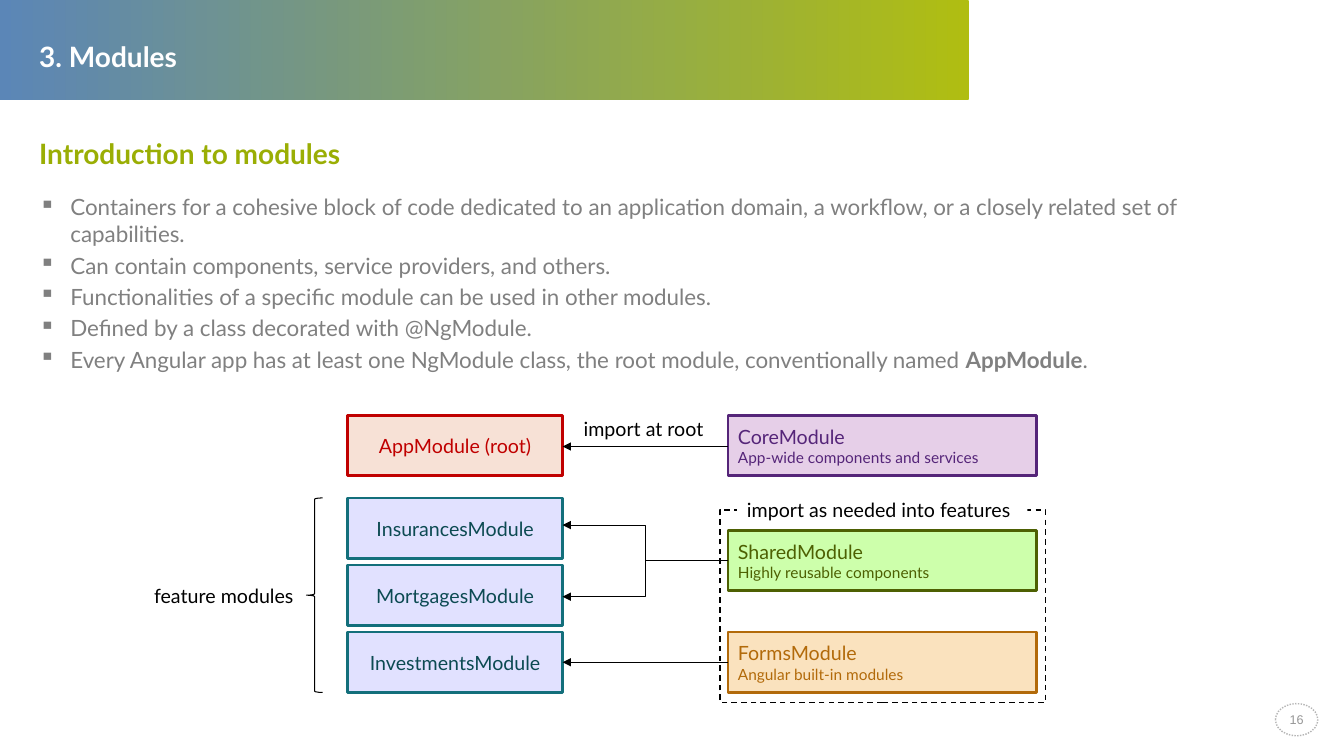
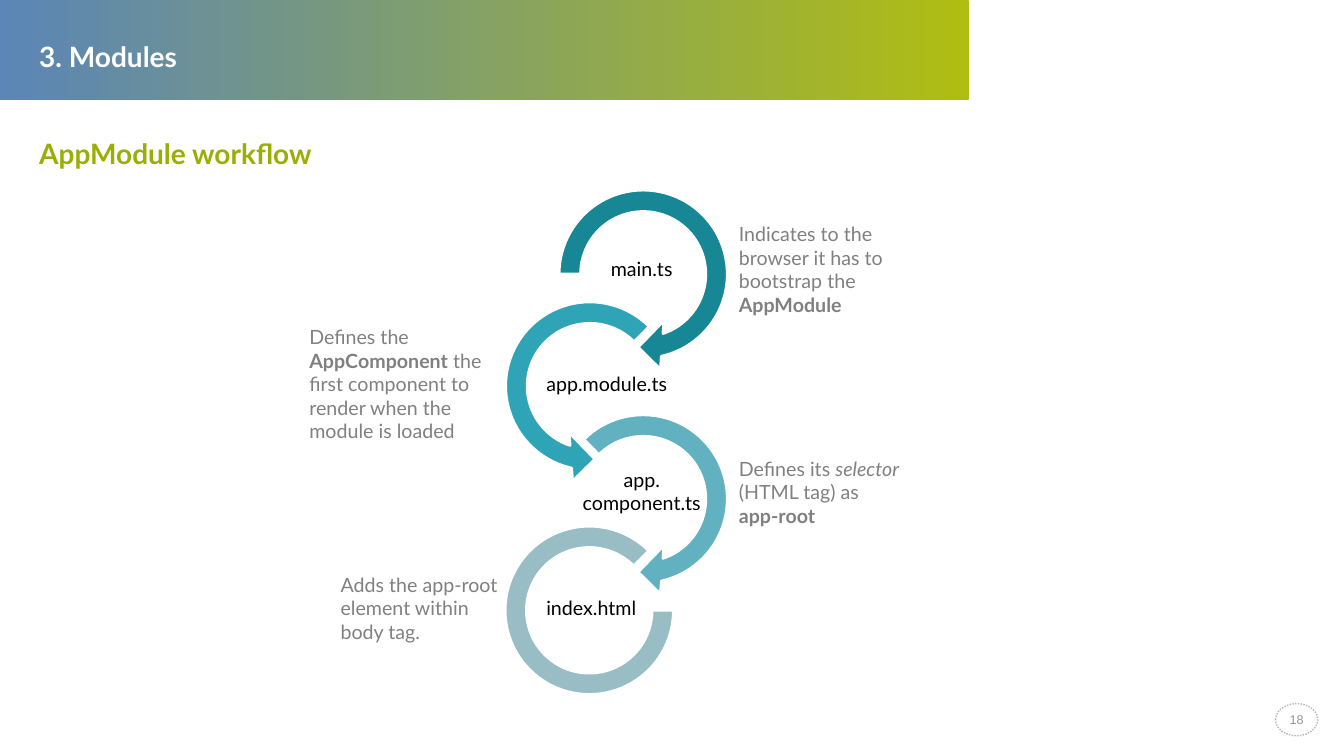
import pptx
import pptx.dml.color
import pptx.enum.dml
import pptx.enum.shapes
import pptx.enum.text
import pptx.oxml
import pptx.oxml.ns
import pptx.util

Inches, Pt = pptx.util.Inches, pptx.util.Pt
RGBColor = pptx.dml.color.RGBColor
SHAPE = pptx.enum.shapes.MSO_SHAPE
CONNECTOR = pptx.enum.shapes.MSO_CONNECTOR
DASH = pptx.enum.dml.MSO_LINE
ALIGN = pptx.enum.text.PP_ALIGN
ANCHOR = pptx.enum.text.MSO_ANCHOR
AUTO_SIZE = pptx.enum.text.MSO_AUTO_SIZE

# Colours
BLACK = RGBColor(0x00, 0x00, 0x00)
WHITE = RGBColor(0xFF, 0xFF, 0xFF)
GREY = RGBColor(0x80, 0x80, 0x80)
BADGE_LINE = RGBColor(0xB5, 0xB5, 0xB5)
BADGE_TEXT = RGBColor(0x96, 0x96, 0x96)
LIME = RGBColor(0xAA, 0xB9, 0x00)
BLUE = RGBColor(0x4F, 0x7D, 0xB2)
HEADING = RGBColor(0x9A, 0xAE, 0x04)
RED = RGBColor(0xC0, 0x00, 0x00)
PALE_RED = RGBColor(0xF7, 0xE1, 0xD6)
PURPLE = RGBColor(0x55, 0x25, 0x79)
PALE_PURPLE = RGBColor(0xE6, 0xCF, 0xE8)
GREEN = RGBColor(0x4D, 0x60, 0x02)
PALE_GREEN = RGBColor(0xCD, 0xFF, 0xAB)
ORANGE = RGBColor(0xB2, 0x6A, 0x0A)
PALE_ORANGE = RGBColor(0xFA, 0xE2, 0xBE)
TEAL = RGBColor(0x13, 0x6F, 0x7B)
DARK_TEAL = RGBColor(0x0C, 0x4A, 0x52)
LAVENDER = RGBColor(0xE1, 0xE1, 0xFF)
STEP_1 = RGBColor(0x17, 0x86, 0x95)
STEP_2 = RGBColor(0x30, 0xA4, 0xB7)
STEP_3 = RGBColor(0x62, 0xB1, 0xC0)
STEP_4 = RGBColor(0x98, 0xBD, 0xC5)

# Text formats
BASE = {"name": "Lato", "size": Pt(14), "color": BLACK}
TITLE = {"size": Pt(20), "bold": True, "color": WHITE}
SUBTITLE = {**TITLE, "color": HEADING}
BODY = {"size": Pt(16), "color": GREY}
NOTE = {"color": GREY}
NUMBER = {"name": "Arial", "size": Pt(9), "color": BADGE_TEXT}
SMALL = {"size": Pt(11)}
BOLD = {"bold": True}
ITALIC = {"italic": True}


def inches(*values):
    return [Inches(v) for v in values]


def add_xml(parent, tag, **attrs):
    el = pptx.oxml.parse_xml(f"<a:{tag} {pptx.oxml.ns.nsdecls('a')}/>")
    for name, value in attrs.items():
        el.set(name, value)
    parent.append(el)
    return el


def format_font(font, fmt):
    for name, value in fmt.items():
        if name == "color":
            font.color.rgb = value
        else:
            setattr(font, name, value)


def write_text(tf, paragraphs, fmt, align=ALIGN.LEFT, bullet=None):
    """Each paragraph is a string or a list of (text, format) runs."""
    for i, runs in enumerate(paragraphs):
        p = tf.paragraphs[0] if i == 0 else tf.add_paragraph()
        p.alignment = align
        if bullet:
            pPr = p._p.get_or_add_pPr()
            pPr.set("marL", str(Inches(0.31)))
            pPr.set("indent", str(Inches(-0.31)))
            if i:
                p.space_before = Pt(3.2)
            add_xml(pPr, "buChar", char=bullet)
        for text, extra in [(runs, {})] if isinstance(runs, str) else runs:
            r = p.add_run()
            r.text = text
            format_font(r.font, {**BASE, **fmt, **extra})


def add_text(s, at, paragraphs, fmt, anchor=ANCHOR.TOP, bullet=None):
    tf = s.shapes.add_textbox(*inches(*at)).text_frame
    tf.word_wrap = True
    tf.vertical_anchor = anchor
    write_text(tf, paragraphs, fmt, bullet=bullet)


def add_label(s, at, paragraphs, align=ALIGN.LEFT, fill=None):
    sp = s.shapes.add_textbox(*inches(*at))
    if fill is not None:
        sp.fill.solid()
        sp.fill.fore_color.rgb = fill
    tf = sp.text_frame
    tf.word_wrap = False
    tf.auto_size = AUTO_SIZE.SHAPE_TO_FIT_TEXT
    write_text(tf, paragraphs, {}, align)


def add_shape(s, kind, at, fill=None, line=None, width=2, dash=None, adj=()):
    sp = s.shapes.add_shape(kind, *inches(*at))
    sp.shadow.inherit = False
    for i, value in enumerate(adj):
        sp.adjustments[i] = value
    if fill is None:
        sp.fill.background()
    else:
        sp.fill.solid()
        sp.fill.fore_color.rgb = fill
    if line is None:
        sp.line.fill.background()
    else:
        sp.line.color.rgb = line
        sp.line.width = Pt(width)
        if dash is not None:
            sp.line.dash_style = dash
    return sp


def add_module(s, at, name, fill, line, color, detail=None):
    sp = add_shape(s, SHAPE.RECTANGLE, at, fill, line)
    add_xml(sp.line._get_or_add_ln(), "round")
    tf = sp.text_frame
    tf.vertical_anchor = ANCHOR.MIDDLE
    paragraphs = [name, [(detail, SMALL)]] if detail else [name]
    write_text(tf, paragraphs, {"color": color},
               ALIGN.LEFT if detail else ALIGN.CENTER)


def add_arrow(s, kind, x1, y1, x2, y2):
    c = s.shapes.add_connector(kind, *inches(x1, y1, x2, y2))
    c.line.color.rgb = BLACK
    c.line.width = Pt(0.75)
    add_xml(c.line._get_or_add_ln(), "tailEnd", type="triangle")
    add_xml(c._element.spPr, "effectLst")


def add_frame(prs, subtitle, number):
    """Start a slide with the band, title, subtitle and page badge."""
    s = prs.slides.add_slide(prs.slide_layouts[6])
    band = add_shape(s, SHAPE.ROUNDED_RECTANGLE, (0, 0, 9.61, 0.99),
                     adj=[0.007])
    band.fill.gradient()
    band.fill.gradient_angle = 180
    for stop, color, pos in zip(band.fill.gradient_stops, (LIME, BLUE), (0, 1)):
        stop.color.rgb = color
        stop.position = pos
        add_xml(stop._gs[0], "alpha", val="92000")

    badge = add_shape(s, SHAPE.OVAL, (12.65, 6.98, 0.42, 0.32), WHITE,
                      BADGE_LINE, 1, DASH.ROUND_DOT)
    tf = badge.text_frame
    for side in ("left", "right", "top", "bottom"):
        setattr(tf, f"margin_{side}", 0)
    tf.word_wrap = False
    tf.vertical_anchor = ANCHOR.MIDDLE
    write_text(tf, [number], NUMBER, ALIGN.CENTER)

    add_text(s, (0.29, 0.34, 8.9, 0.47), ["3. Modules"], TITLE)
    add_text(s, (0.29, 1.31, 12.6, 0.47), [subtitle], SUBTITLE)
    return s


def build_introduction(prs):
    s = add_frame(prs, "Introduction to modules", "16")
    add_text(s, (0.29, 1.87, 12.6, 1.88), [
        "Containers for a cohesive block of code dedicated to an application "
        "domain, a workflow, or a closely related set of capabilities.",
        "Can contain components, service providers, and others.",
        "Functionalities of a specific module can be used in other modules.",
        "Defined by a class decorated with @NgModule.",
        [("Every Angular app has at least one NgModule class, the root module, "
          "conventionally named ", {}), ("AppModule", BOLD), (".", {})],
    ], BODY, bullet="▪")

    # Root and feature modules
    left, width, height = 3.45, 2.13, 0.6
    add_module(s, (left, 4.12, width, height), "AppModule (root)",
               PALE_RED, RED, RED)
    features = ("InsurancesModule", "MortgagesModule", "InvestmentsModule")
    for i, name in enumerate(features):
        add_module(s, (left, 4.94 + i * 0.665, width, height), name,
                   LAVENDER, TEAL, DARK_TEAL)
    add_shape(s, SHAPE.LEFT_BRACE, (3.04, 4.94, 0.16, 1.93),
              line=BLACK, width=0.75)
    add_label(s, (1.43, 5.74, 1.61, 0.34), ["feature modules"])

    # Imported modules
    source = 7.22
    for top, name, detail, fill, color in (
        (4.12, "CoreModule", "App-wide components and services",
         PALE_PURPLE, PURPLE),
        (5.26, "SharedModule", "Highly reusable components",
         PALE_GREEN, GREEN),
        (6.27, "FormsModule", "Angular built-in modules",
         PALE_ORANGE, ORANGE),
    ):
        add_module(s, (source, top, 3.06, height), name, fill, color, color,
                   detail)

    # Import arrows
    target = left + width
    for y in (4.43, 6.57):
        add_arrow(s, CONNECTOR.STRAIGHT, source, y, target, y)
    for y in (5.21, 5.92):
        add_arrow(s, CONNECTOR.ELBOW, source, 5.56, target, y)
    add_label(s, (5.69, 4.09, 1.43, 0.34), ["import at root"])

    # Dashed group
    add_shape(s, SHAPE.RECTANGLE, (7.14, 5.06, 3.23, 1.91),
              line=BLACK, width=1, dash=DASH.DASH)
    add_label(s, (7.31, 4.89, 2.88, 0.34), ["import as needed into features"],
              fill=WHITE)


def build_workflow(prs):
    s = add_frame(prs, "AppModule workflow", "18")

    # Chain of circular arrows
    ring = 1.94
    for kind, at, color, adj in (
        (SHAPE.CIRCULAR_ARROW, (5.41, 1.75, ring, ring), STEP_1,
         (0.11, 11.423, 45, 108, 0.125)),
        (SHAPE.LEFT_CIRCULAR_ARROW, (4.88, 2.86, ring, ring), STEP_2,
         (0.11, 11.423, 63, 189, 0.125)),
        (SHAPE.CIRCULAR_ARROW, (5.41, 3.98, ring, ring), STEP_3,
         (0.11, 11.423, 45, 135, 0.125)),
        (SHAPE.BLOCK_ARC, (5.01, 5.22, 1.67, 1.67), STEP_4,
         (0, 189, 0.127)),
    ):
        add_shape(s, kind, at, color, WHITE, adj=adj)

    # File names
    add_label(s, (5.96, 2.5, 0.82, 0.34), ["main.ts"])
    add_label(s, (5.32, 3.64, 1.43, 0.34), ["app.module.ts"])
    add_label(s, (5.67, 4.59, 1.39, 0.57), ["app.", "component.ts"],
              ALIGN.CENTER)
    add_label(s, (5.32, 5.86, 1.1, 0.34), ["index.html"])

    # Explanations
    for at, runs in (
        ((7.23, 2.12, 1.64, 1.1),
         [("Indicates to the browser it has to bootstrap the ", {}),
          ("AppModule", BOLD)]),
        ((2.97, 3.11, 2, 1.4),
         [("Defines the ", {}), ("AppComponent", BOLD),
          (" the first component to render when the module is loaded", {})]),
        ((7.23, 4.33, 1.79, 1.1),
         [("Defines its ", {}), ("selector ", ITALIC),
          ("(HTML tag) as ", {}), ("app-root", BOLD)]),
        ((3.28, 5.48, 1.79, 1.1),
         "Adds the app-root element within body tag."),
    ):
        add_text(s, at, [runs], NOTE, ANCHOR.MIDDLE)


def main():
    prs = pptx.Presentation()
    prs.slide_width, prs.slide_height = inches(13.33, 7.5)
    build_introduction(prs)
    build_workflow(prs)
    prs.save("out.pptx")


if __name__ == "__main__":
    main()
